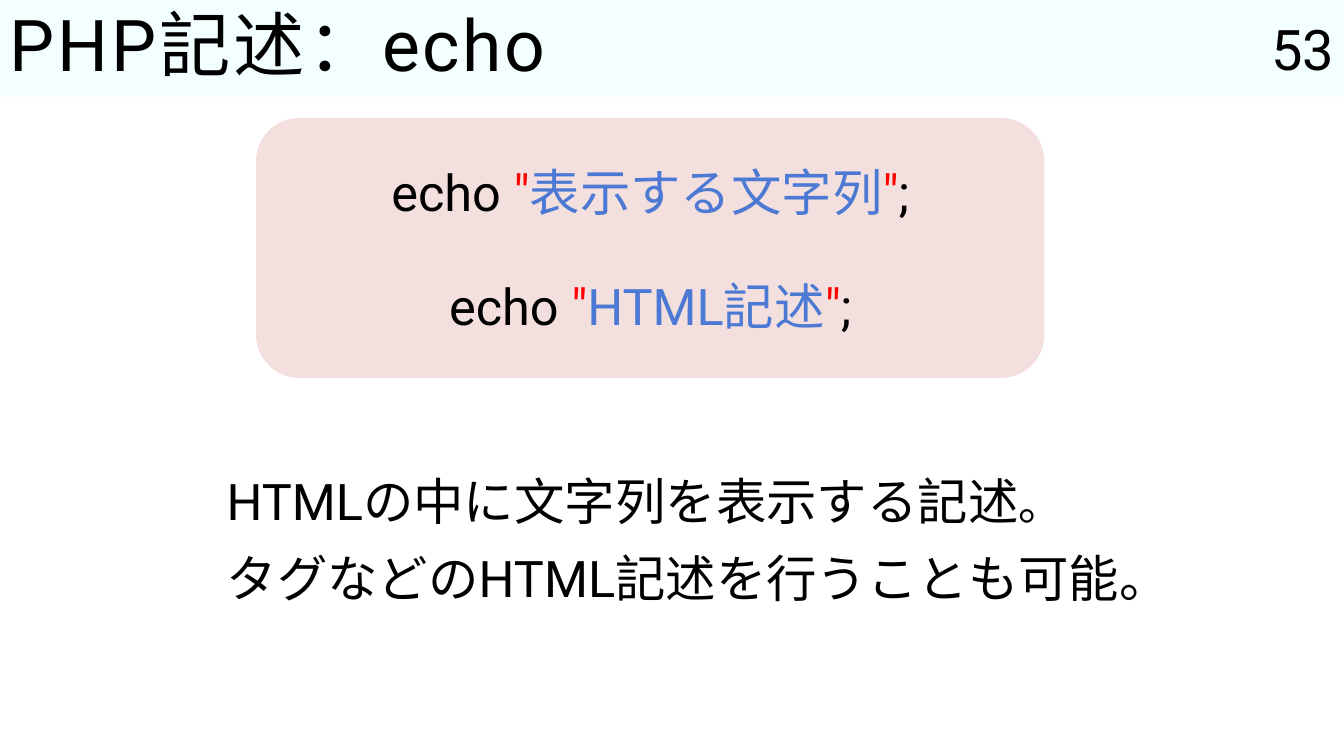
from dataclasses import dataclass

from pptx import Presentation
from pptx.dml.color import RGBColor
from pptx.enum.shapes import MSO_SHAPE as Form
from pptx.enum.text import MSO_ANCHOR as Anchor, PP_ALIGN as Align
from pptx.util import Inches, Pt

FONT = "Roboto"
BLACK, RED, BLUE = "000000", "FF0000", "4B79D3"
BAND = 12.8  # height of the title band, percent of the slide


@dataclass
class Area:
    """A box in percent of the slide's width and height."""
    left: float
    top: float
    width: float
    height: float


@dataclass
class Piece:
    text: str
    size: float = 36
    color: str = BLACK


@dataclass
class Block:
    area: Area
    lines: list[list[Piece]]
    align: Align = Align.LEFT
    anchor: Anchor = Anchor.TOP
    pitch: float = 1.1
    track: int = 0  # letter spacing, hundredths of a point


deck = Presentation()
deck.slide_width, deck.slide_height = Inches(13.33), Inches(7.5)
slide = deck.slides.add_slide(deck.slide_layouts[6])


def paint(code: str) -> RGBColor:
    return RGBColor.from_string(code)


def place(area: Area) -> tuple[int, int, int, int]:
    wide, high = deck.slide_width / 100, deck.slide_height / 100
    return (int(area.left * wide), int(area.top * high),
            int(area.width * wide), int(area.height * high))


def draw_shape(form: Form, area: Area, fill: str) -> None:
    shape = slide.shapes.add_shape(form, *place(area))
    shape.shadow.inherit = False
    shape.fill.solid()
    shape.fill.fore_color.rgb = paint(fill)
    shape.line.fill.background()


def draw_text(block: Block) -> None:
    frame = slide.shapes.add_textbox(*place(block.area)).text_frame
    frame.word_wrap = True
    frame.vertical_anchor = block.anchor
    for row, line in enumerate(block.lines):
        para = frame.add_paragraph() if row else frame.paragraphs[0]
        para.alignment = block.align
        para.line_spacing = block.pitch
        para.space_before = Pt(7 if row else 0)
        for piece in line:
            run = para.add_run()
            run.text = piece.text
            run.font.name = FONT
            run.font.size = Pt(piece.size)
            run.font.color.rgb = paint(piece.color)
            if block.track:
                run.font._element.set("spc", str(block.track))


def echo_line(top: float, value: str) -> Block:
    quote = Piece('"', color=RED)
    line = [Piece("echo "), quote, Piece(value, color=BLUE), quote, Piece(";")]
    return Block(Area(28.06, top, 40.66, 10.4), [line], Align.CENTER)


# Code panel and title band
band = Area(0, 0, 100, BAND)
draw_shape(Form.ROUNDED_RECTANGLE, Area(19.05, 15.6, 58.66, 34.4), "F4DFDF")
draw_shape(Form.RECTANGLE, band, "F3FEFF")

blocks = [
    # Title and slide number
    Block(band, [[Piece("PHP記述：echo", 51)]],
          anchor=Anchor.MIDDLE, pitch=0.9, track=200),
    Block(Area(88.75, 0, 11.25, BAND), [[Piece("53", 40)]],
          Align.RIGHT, Anchor.MIDDLE, pitch=1),
    # Explanation
    Block(Area(16.13, 60.8, 68.64, 20.8), [
        [Piece("HTMLの中に文字列を表示する記述"), Piece("。", 32)],
        [Piece("タグなどのHTML記述を行うことも可能。")],
    ]),
    # Syntax
    echo_line(19.87, "表示する文字列"),
    echo_line(34.93, "HTML記述"),
]
for block in blocks:
    draw_text(block)

deck.save("out.pptx")
